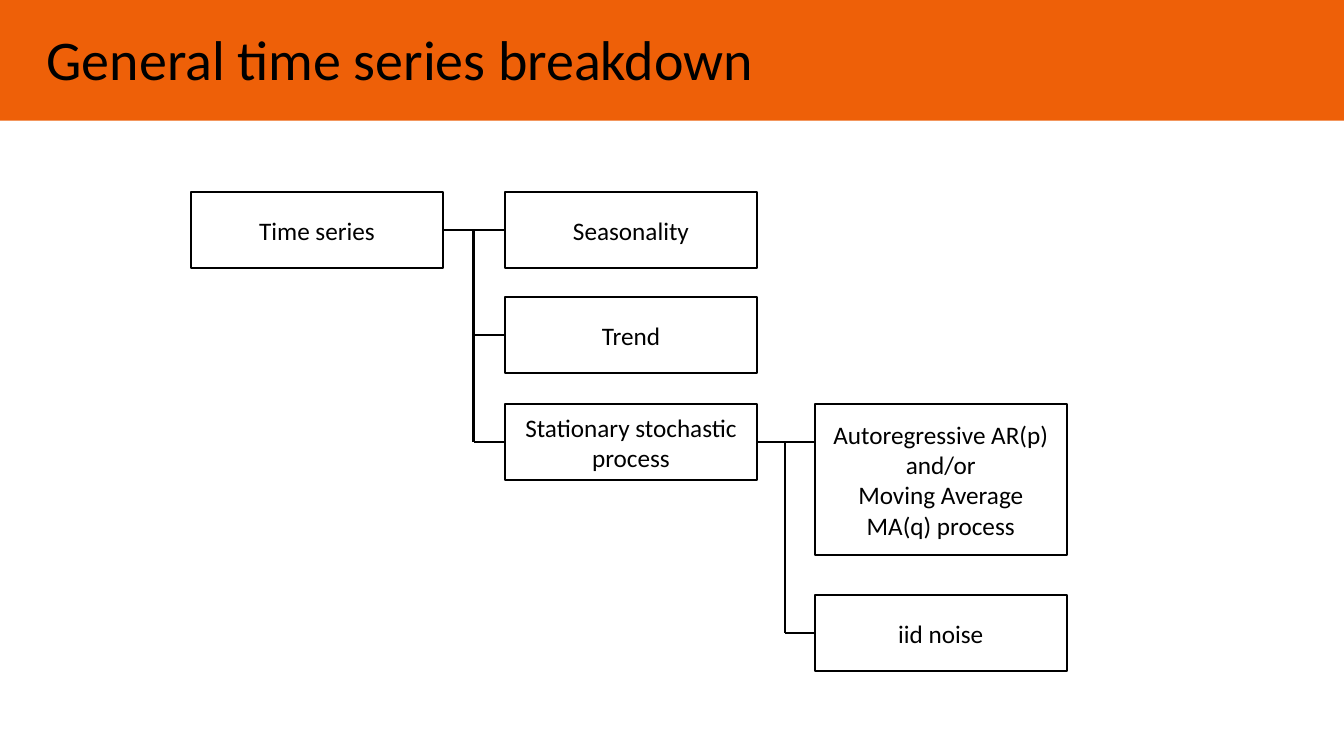
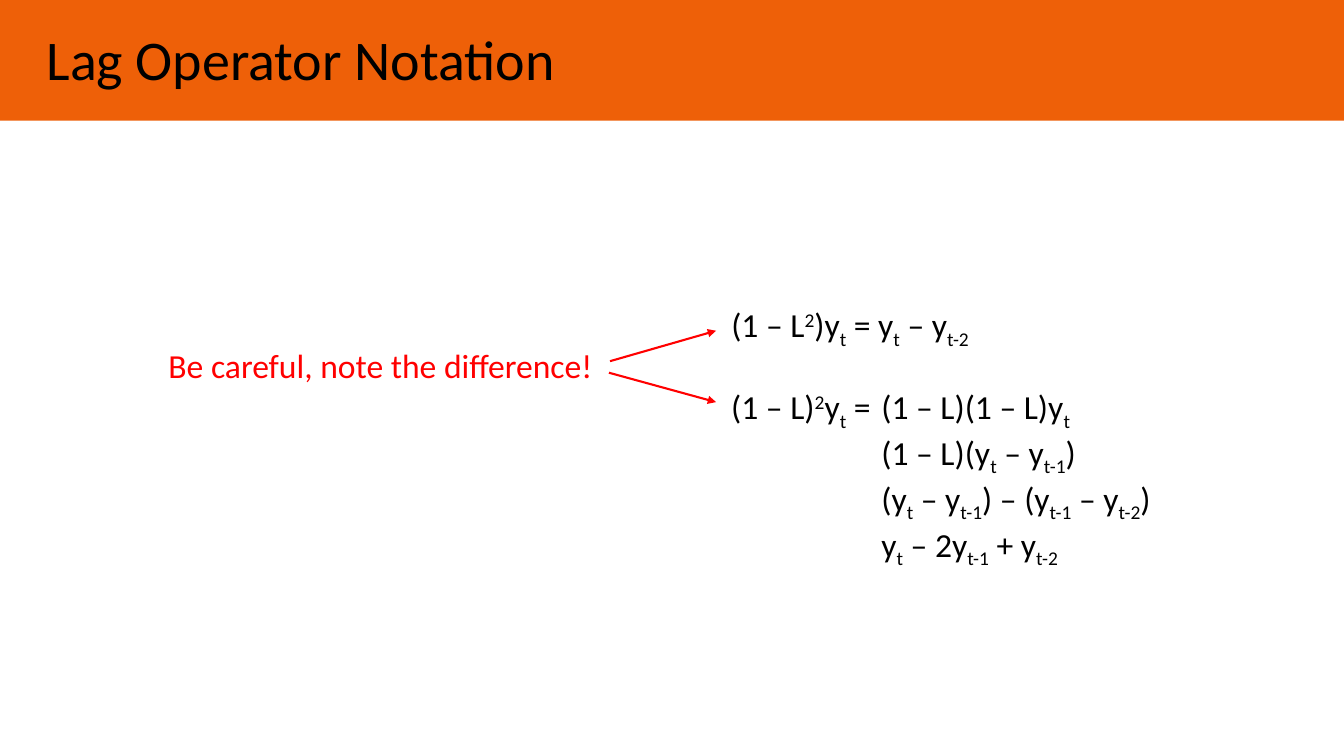
"""Build two slides on time series: a breakdown tree and lag operator notation."""
from lxml.etree import SubElement
from pptx import Presentation
from pptx.dml.color import RGBColor
from pptx.enum.shapes import MSO_CONNECTOR as Connector, MSO_SHAPE as Shape
from pptx.enum.text import MSO_ANCHOR as Anchor, MSO_AUTO_SIZE as AutoSize, PP_ALIGN as Align
from pptx.oxml.ns import qn
from pptx.util import Pt

PX = 9525
FONT = "Calibri"
LINE_WIDTH = Pt(1.5)
COLORS = {"band": "EE6008", "ink": "000000", "alert": "FF0000"}
BASELINES = {"_": "-25000", "^": "30000"}


def write(box, text, size=24, color="ink", align=Align.LEFT, anchor=Anchor.TOP,
          wrap=True, fit=AutoSize.SHAPE_TO_FIT_TEXT):
    """Fill a box: newlines split paragraphs, bars split spans, _ and ^ lower or raise a span."""
    frame = box.text_frame
    frame.word_wrap = wrap
    frame.auto_size = fit
    frame.vertical_anchor = anchor
    for index, line in enumerate(text.split("\n")):
        para = frame.add_paragraph() if index else frame.paragraphs[0]
        para.alignment = align
        for part in line.split("|"):
            span = para.add_run()
            span.text = part.lstrip("_^")
            span.font.name = FONT
            span.font.size = Pt(size)
            span.font.color.rgb = RGBColor.from_string(COLORS[color])
            if part[0] in BASELINES:
                span.font._element.set("baseline", BASELINES[part[0]])


def connect(page, start, end, color="ink", arrow=False):
    """Draw a straight line between two points, with an optional arrowhead at its end."""
    line = page.shapes.add_connector(Connector.STRAIGHT, *[v * PX for v in (*start, *end)])
    line.line.color.rgb = RGBColor.from_string(COLORS[color])
    line.line.width = LINE_WIDTH
    if arrow:
        SubElement(line.line._get_or_add_ln(), qn("a:tailEnd"), type="triangle")
    SubElement(line._element.spPr, qn("a:effectLst"))


deck = Presentation()
deck.slide_width, deck.slide_height = 1280 * PX, 720 * PX

pages = []
for title in ["General time series breakdown", "Lag Operator Notation"]:
    page = deck.slides.add_slide(deck.slide_layouts[6])
    band = page.shapes.add_shape(Shape.RECTANGLE, 0, 0, deck.slide_width, 115 * PX)
    band.shadow.inherit = False
    band.fill.solid()
    band.fill.fore_color.rgb = RGBColor.from_string(COLORS["band"])
    band.line.fill.background()
    box = page.shapes.add_textbox(35 * PX, 19 * PX, 1058 * PX, 74 * PX)
    write(box, title, size=40)
    pages.append(page)
tree_page, lag_page = pages

NODE_WIDTH, NODE_HEIGHT = 240, 72
COLUMNS = [182, 481, 776]
ROWS = [183, 283, 385, 567]
nodes = [
    (0, 0, 1, "Time series"),
    (1, 0, 1, "Seasonality"),
    (1, 1, 1, "Trend"),
    (1, 2, 1, "Stationary stochastic process"),
    (2, 2, 2, "Autoregressive AR(p) and/or\nMoving Average MA(q) process"),
    (2, 3, 1, "iid noise"),
]
for column, row, units, text in nodes:
    box = tree_page.shapes.add_shape(
        Shape.RECTANGLE, COLUMNS[column] * PX, ROWS[row] * PX,
        NODE_WIDTH * PX, units * NODE_HEIGHT * PX)
    box.shadow.inherit = False
    box.fill.background()
    box.line.color.rgb = RGBColor.from_string(COLORS["ink"])
    box.line.width = LINE_WIDTH
    write(box, text, size=18, align=Align.CENTER, anchor=Anchor.MIDDLE, fit=AutoSize.NONE)

for parent, child_rows in [(0, [0, 1, 2]), (1, [2, 3])]:
    left, right = COLUMNS[parent] + NODE_WIDTH, COLUMNS[parent + 1]
    trunk = (left + right) // 2
    middles = [ROWS[row] + NODE_HEIGHT // 2 for row in child_rows]
    connect(tree_page, (left, middles[0]), (right, middles[0]))
    connect(tree_page, (trunk, middles[0]), (trunk, middles[-1]))
    for middle in middles[1:]:
        connect(tree_page, (trunk, middle), (right, middle))

expansion = "\n".join([
    "(1 – L)(1 – L)y|_t",
    "(1 – L)(y|_t| – y|_t-1|)",
    "(y|_t| – y|_t-1|) – (y|_t-1| – y|_t-2|)",
    "y|_t| – 2y|_t-1| + y|_t-2",
])
formulas = [
    (687, 285, 255, 48, "(1 – L|^2|)y|_t| = y|_t| – y|_t-2"),
    (687, 363, 156, 48, "(1 – L)|^2|y|_t| ="),
    (830, 363, 291, 165, expansion),
]
for left, top, width, height, text in formulas:
    box = lag_page.shapes.add_textbox(left * PX, top * PX, width * PX, height * PX)
    write(box, text, wrap=False)

note = lag_page.shapes.add_textbox(151 * PX, 324 * PX, 447 * PX, 48 * PX)
write(note, "Be careful, note the difference!", color="alert")
for start, end in [((581, 344), (682, 315)), ((580, 355), (682, 383))]:
    connect(lag_page, start, end, color="alert", arrow=True)

deck.save("out.pptx")
